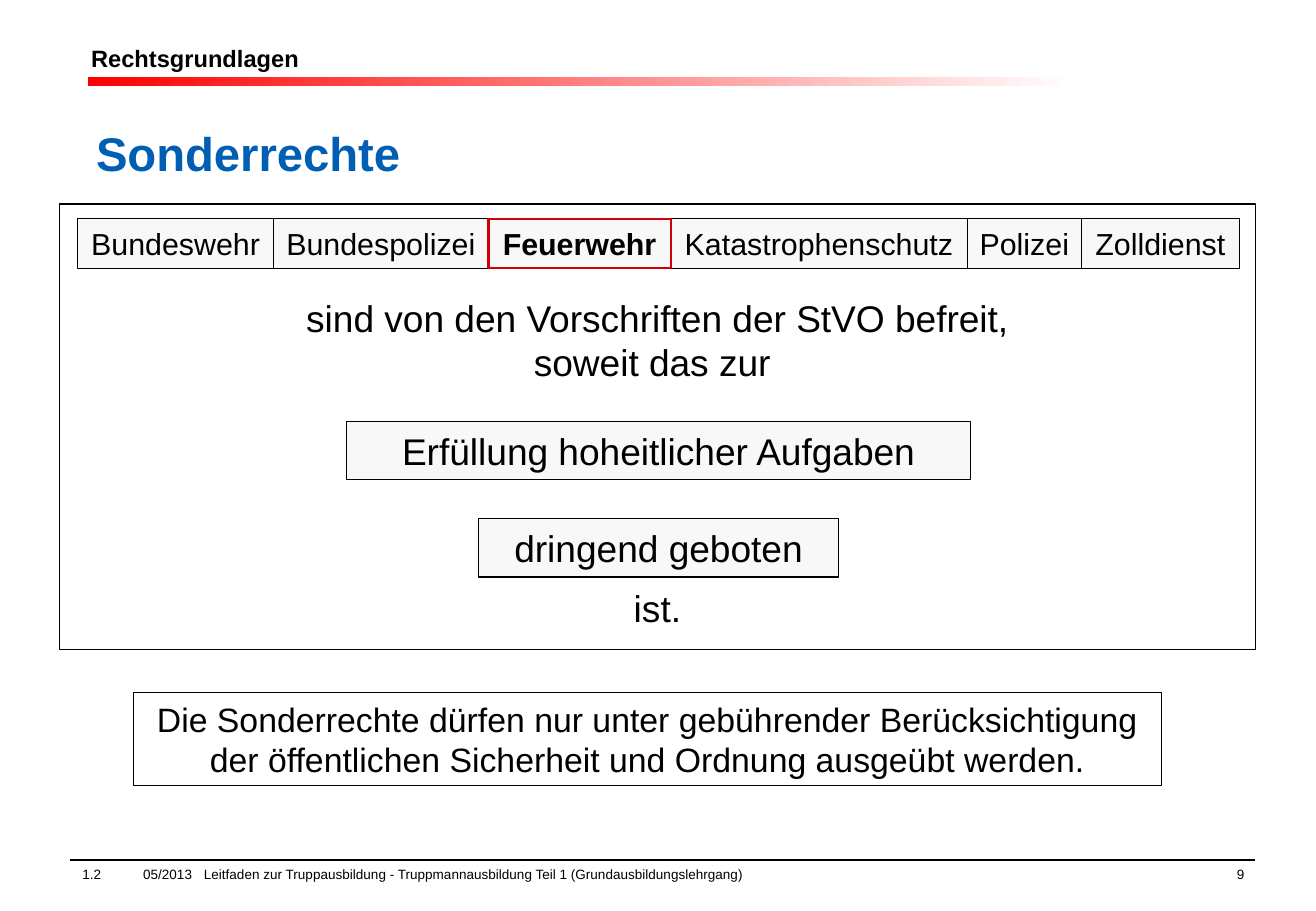
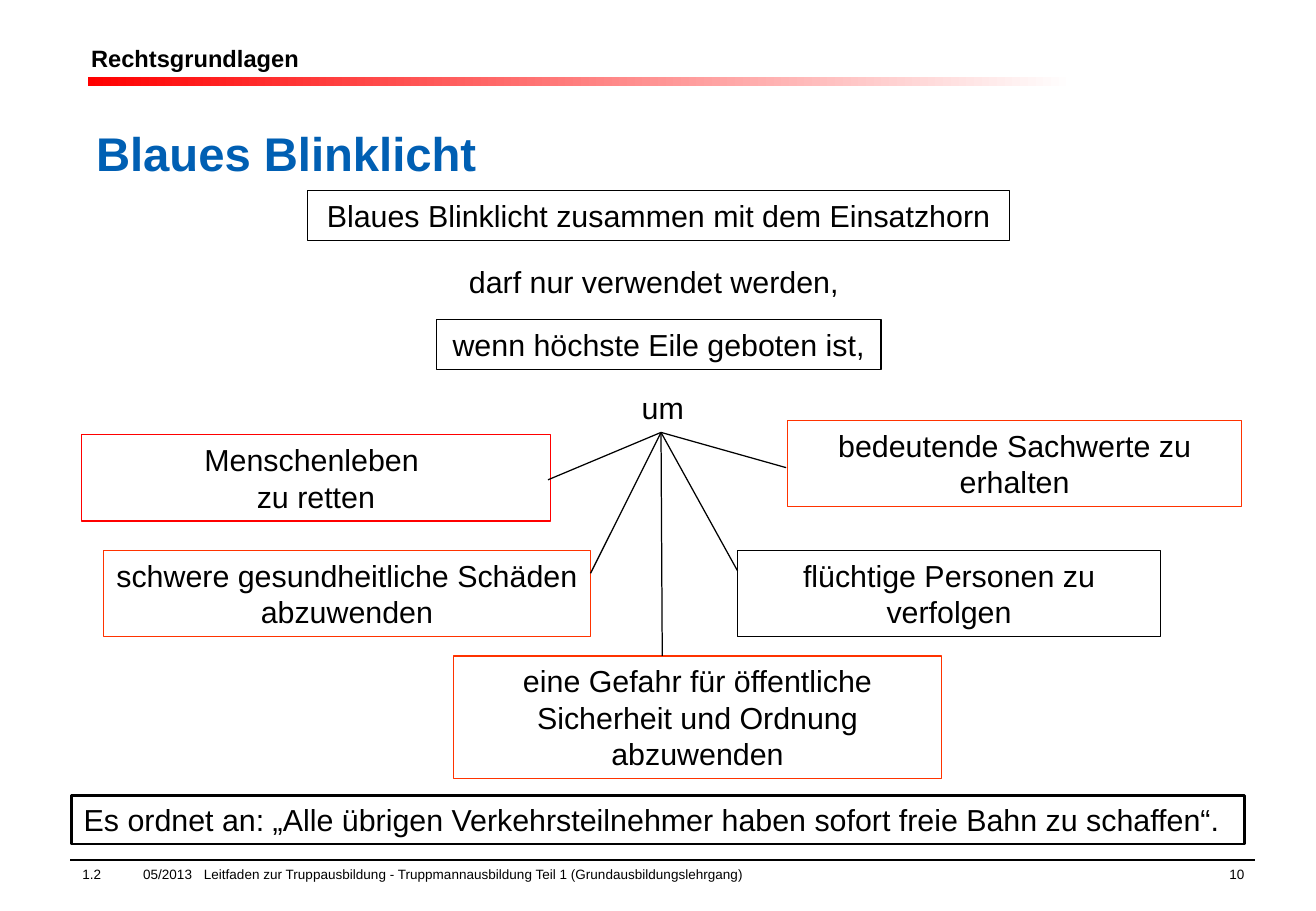
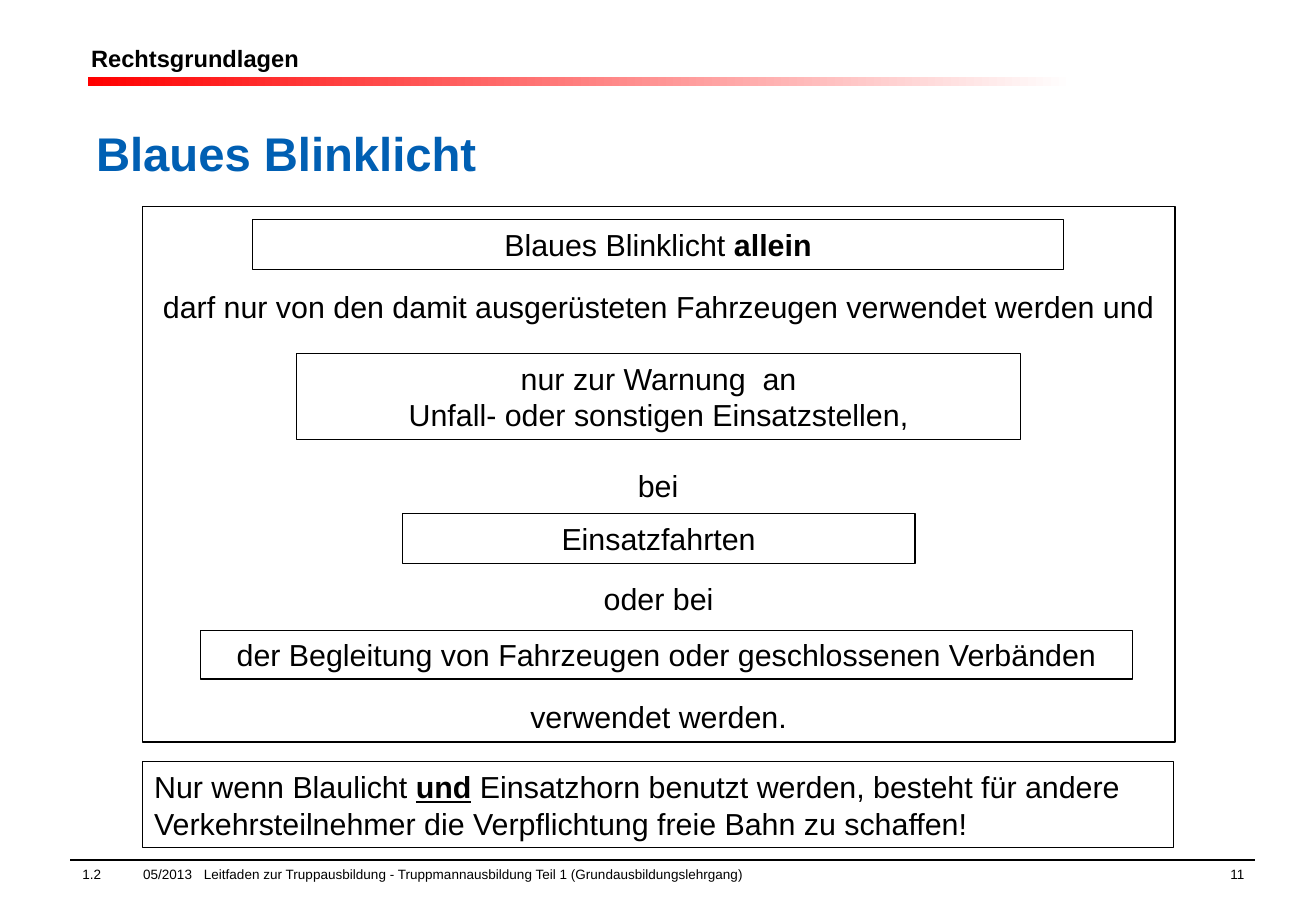
from dataclasses import dataclass
from itertools import accumulate

from lxml import etree
from pptx import Presentation
from pptx.dml.color import RGBColor
from pptx.enum.shapes import MSO_CONNECTOR, MSO_SHAPE
from pptx.enum.text import MSO_ANCHOR, PP_ALIGN
from pptx.oxml.ns import qn
from pptx.util import Inches, Pt

RECT = MSO_SHAPE.RECTANGLE
STRAIGHT = MSO_CONNECTOR.STRAIGHT
TOP, MIDDLE = MSO_ANCHOR.TOP, MSO_ANCHOR.MIDDLE
LEFT, CENTER, RIGHT = PP_ALIGN.LEFT, PP_ALIGN.CENTER, PP_ALIGN.RIGHT


@dataclass(frozen=True)
class Theme:
    font: str = "Arial"
    black: str = "000000"
    white: str = "FFFFFF"
    blue: str = "005FB3"
    red: str = "FF0000"
    orange: str = "FF3300"
    dark_red: str = "CE000A"
    gray: str = "F8F8F8"
    title: int = 28
    large: int = 22
    medium: int = 20
    body: int = 18
    header: int = 14
    footer: int = 8
    thin: float = 0.75
    strong: float = 1.25
    heavy: float = 1.5


T = Theme()
HEADER = "Rechtsgrundlagen"
FOOTER = ("1.2\t05/2013\tLeitfaden zur Truppausbildung - "
          "Truppmannausbildung Teil 1 (Grundausbildungslehrgang)")


def rgb(color):
    return RGBColor.from_string(color)


class Deck:
    def __init__(self):
        self.prs = Presentation()
        self.prs.slide_width = Inches(10.83)
        self.prs.slide_height = Inches(7.5)
        self.s = None

    def new_slide(self, title, number):
        """Add a slide with its title, header band and footer."""
        self.s = self.prs.slides.add_slide(self.prs.slide_layouts[5])
        sp = self.s.shapes.title
        sp.left, sp.top, sp.width, sp.height = map(Inches, (0.69, 0.94, 9.44, 0.63))
        self.set_text(sp, [title], T.title, LEFT, color=T.blue, bold=True)

        # Header
        band = self.rect((0.72, 0.63, 8.12, 0.08), line=None)
        band.fill.gradient()
        band.fill.gradient_angle = 0
        for stop, color in zip(band.fill.gradient_stops, (T.red, T.white)):
            stop.color.rgb = rgb(color)
        self.text((0.73, 0.35, 4.46, 0.26), HEADER, T.header, LEFT,
                  bold=True, inset=(0.02, 0.01))

        # Footer
        self.line((0.58, 7.08), (10.33, 7.08))
        self.text((0.58, 7.08, 9.27, 0.17), FOOTER, T.footer, LEFT, anchor=TOP)
        self.text((8.08, 7.08, 2.26, 0.18), str(number), T.footer, RIGHT, anchor=TOP)

    def set_text(self, sp, paragraphs, size, align=CENTER, color=T.black,
                 bold=False, anchor=MIDDLE, inset=(0.1, 0.05)):
        """A paragraph is a string or a list of (text, is_bold, is_underlined)."""
        tf = sp.text_frame
        tf.word_wrap = True
        tf.vertical_anchor = anchor
        tf.margin_left = tf.margin_right = Inches(inset[0])
        tf.margin_top = tf.margin_bottom = Inches(inset[1])
        for i, content in enumerate(paragraphs):
            p = tf.paragraphs[0] if i == 0 else tf.add_paragraph()
            p.alignment = align
            p.font.name, p.font.size, p.font.bold = T.font, Pt(size), bold
            p.font.color.rgb = rgb(color)
            runs = [(content, None, None)] if isinstance(content, str) else content
            for text, is_bold, is_underlined in runs:
                r = p.add_run()
                r.text = text
                r.font.bold, r.font.underline = is_bold, is_underlined

    def rect(self, at, line=T.black, width=T.thin, fill=None):
        sp = self.s.shapes.add_shape(RECT, *map(Inches, at))
        sp.shadow.inherit = False
        if fill:
            sp.fill.solid()
            sp.fill.fore_color.rgb = rgb(fill)
        else:
            sp.fill.background()
        if line:
            sp.line.color.rgb = rgb(line)
            sp.line.width = Pt(width)
        else:
            sp.line.fill.background()
        return sp

    def box(self, at, *paragraphs, size=T.body, align=CENTER, bold=False, **look):
        self.set_text(self.rect(at, **look), paragraphs, size, align, bold=bold)

    def text(self, at, text, size=T.body, align=CENTER, **style):
        sp = self.s.shapes.add_textbox(*map(Inches, at))
        self.set_text(sp, [text], size, align, **style)

    def line(self, start, end):
        c = self.s.shapes.add_connector(STRAIGHT, *map(Inches, start + end))
        c.line.color.rgb = rgb(T.black)
        c.line.width = Pt(T.thin)
        etree.SubElement(c._element.spPr, qn("a:effectLst"))


deck = Deck()

# Slide 9: special rights
deck.new_slide("Sonderrechte", 9)
deck.rect((0.49, 1.68, 9.84, 3.67))

services = {"Bundeswehr": 1.61, "Bundespolizei": 1.77, "Feuerwehr": 1.5,
            "Katastrophenschutz": 2.44, "Polizei": 0.94, "Zolldienst": 1.3}
lefts = accumulate(services.values(), initial=0.64)
cells = [(name, left, width) for (name, width), left in zip(services.items(), lefts)]
# The highlighted cell goes last, so that its border lies on top
for name, left, width in sorted(cells, key=lambda cell: cell[0] == "Feuerwehr"):
    at = (left, 1.8, width, 0.41)
    if name == "Feuerwehr":
        deck.box(at, name, bold=True, fill=T.gray, line=T.dark_red, width=T.strong)
    else:
        deck.box(at, name, fill=T.gray)

deck.text((2.32, 2.38, 6.18, 0.83),
          "sind von den Vorschriften der StVO befreit, soweit das zur ", T.large)
deck.box((2.85, 3.47, 5.14, 0.48), "Erfüllung hoheitlicher Aufgaben",
         size=T.large, fill=T.gray)
deck.box((3.94, 4.27, 2.96, 0.48), "dringend geboten", size=T.large, fill=T.gray)
deck.text((5.02, 4.77, 0.78, 0.47), "ist.", T.large)
deck.box((1.1, 5.7, 8.46, 0.77),
         "Die Sonderrechte dürfen nur unter gebührender Berücksichtigung "
         "der öffentlichen Sicherheit und Ordnung ausgeübt werden.", size=T.medium)

# Slide 10: blue light together with the horn
deck.new_slide("Blaues Blinklicht", 10)
deck.box((2.53, 1.57, 5.78, 0.41), "Blaues Blinklicht zusammen mit dem Einsatzhorn")
deck.text((2.47, 2.12, 5.89, 0.4), "darf nur verwendet werden, ")
deck.box((3.59, 2.63, 3.66, 0.41), "wenn höchste Eile geboten ist,")
deck.text((4.32, 3.15, 2.2, 0.4), " um")

# Purposes, each joined to the hub
hub = (5.44, 3.56)
purposes = [
    ((0.67, 3.58, 3.86, 0.71), T.red, (4.51, 3.95), ["Menschenleben ", "zu retten"]),
    ((0.85, 4.53, 4.01, 0.71), T.orange, (4.86, 4.72),
     ["schwere gesundheitliche Schäden abzuwenden"]),
    ((3.73, 5.4, 4.02, 1.01), T.orange, (5.45, 5.4),
     ["eine Gefahr für öffentliche Sicherheit und Ordnung abzuwenden"]),
    ((6.48, 3.46, 3.74, 0.71), T.orange, (6.47, 3.85),
     ["bedeutende Sachwerte zu erhalten"]),
    ((6.07, 4.53, 3.48, 0.71), T.black, (6.07, 4.7),
     ["flüchtige Personen zu verfolgen"]),
]
for at, color, end, paragraphs in purposes:
    deck.box(at, *paragraphs, line=color)
    deck.line(hub, end)

deck.box((0.59, 6.55, 9.65, 0.4),
         "Es ordnet an: „Alle übrigen Verkehrsteilnehmer haben sofort "
         "freie Bahn zu schaffen“.", align=LEFT, width=T.heavy)

# Slide 11: blue light alone
deck.new_slide("Blaues Blinklicht", 11)
deck.rect((1.17, 1.7, 8.5, 4.41))
deck.box((2.08, 1.81, 6.67, 0.41),
         [("Blaues Blinklicht ", None, None), ("allein", True, None)])
deck.text((1.23, 2.32, 8.38, 0.4),
          "darf nur von den damit ausgerüsteten Fahrzeugen verwendet werden und")
deck.box((2.44, 2.91, 5.96, 0.71),
         "nur zur Warnung  an", "Unfall- oder sonstigen Einsatzstellen,")
deck.text((4.54, 3.8, 1.75, 0.4), "bei")
deck.box((3.31, 4.23, 4.22, 0.41), "Einsatzfahrten")
deck.text((4.31, 4.73, 2.22, 0.4), "oder bei")
deck.box((1.65, 5.19, 7.67, 0.4),
         "der Begleitung von Fahrzeugen oder geschlossenen Verbänden")
deck.text((3.83, 5.7, 3.18, 0.4), "verwendet werden.")
deck.box((1.17, 6.27, 8.49, 0.71),
         [("Nur wenn Blaulicht ", None, None), ("und", True, True),
          (" Einsatzhorn benutzt werden, besteht für andere Verkehrsteilnehmer "
           "die Verpflichtung freie Bahn zu schaffen!", None, None)], align=LEFT)

deck.prs.save("out.pptx")
